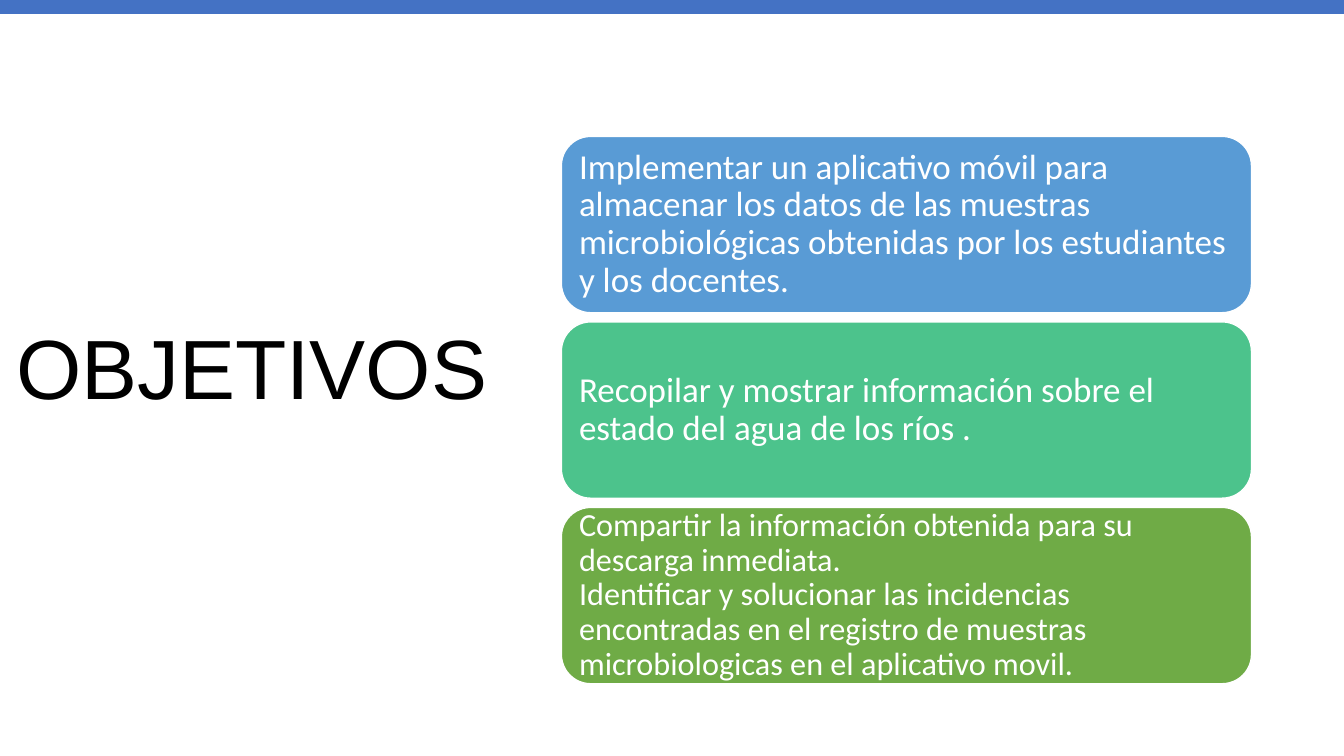
from dataclasses import dataclass

from pptx import Presentation
from pptx.dml.color import RGBColor
from pptx.enum.shapes import MSO_SHAPE
from pptx.enum.text import MSO_ANCHOR, MSO_AUTO_SIZE, PP_ALIGN
from pptx.util import Pt

RECT = MSO_SHAPE.RECTANGLE
ROUND = MSO_SHAPE.ROUNDED_RECTANGLE
MIDDLE = MSO_ANCHOR.MIDDLE
LEFT = PP_ALIGN.LEFT
FIXED = MSO_AUTO_SIZE.NONE


@dataclass(frozen=True)
class Theme:
    """Colours, fonts and type sizes of the slide."""
    bar: str = "4472C4"
    cards: tuple = ("599BD5", "4CC38C", "6FAB46")
    white: str = "FFFFFF"
    black: str = "000000"
    head_font: str = "Arial"
    body_font: str = "Calibri"
    head: int = 60
    body: int = 25
    small: int = 23


THEME = Theme()

GOALS = [
    ("Implementar un aplicativo móvil para almacenar los datos de las muestras "
     "microbiológicas obtenidas por los estudiantes y los docentes.", THEME.body),
    ("Recopilar y mostrar información sobre el estado del agua de los ríos .",
     THEME.body),
    ("Compartir la información obtenida para su descarga inmediata.\n"
     "Identificar y solucionar las incidencias encontradas en el registro de "
     "muestras microbiologicas en el aplicativo movil.", THEME.small),
]


def set_text(frame, text, font, size, color, inset):
    """Fill a text frame with left-aligned, vertically centred text."""
    frame.text = text
    frame.word_wrap = True
    frame.auto_size = FIXED
    frame.vertical_anchor = MIDDLE
    frame.margin_left = frame.margin_right = Pt(inset)
    frame.margin_top = frame.margin_bottom = Pt(3.6)
    for para in frame.paragraphs:
        para.alignment = LEFT
        para.line_spacing = 0.9
        para.space_before = para.space_after = Pt(0)
        for run in para.runs:
            run.font.name = font
            run.font.size = Pt(size)
            run.font.color.rgb = RGBColor.from_string(color)


def add_block(slide, kind, box, color):
    """Add a filled shape without line or shadow."""
    shape = slide.shapes.add_shape(kind, *map(Pt, box))
    shape.shadow.inherit = False
    shape.fill.solid()
    shape.fill.fore_color.rgb = RGBColor.from_string(color)
    shape.line.fill.background()
    return shape


def add_title(slide, text):
    """Place and format the slide title."""
    title = slide.shapes.title
    title.left, title.top, title.width, title.height = map(Pt, (4.3, 49, 380, 433.4))
    set_text(title.text_frame, text, THEME.head_font, THEME.head, THEME.black, 7.2)


def add_card(slide, row, text, size):
    """Add one goal as a rounded card in the given row."""
    box = (401, 97.4 + 132.5 * row, 493, 126)
    card = add_block(slide, ROUND, box, THEME.cards[row])
    card.adjustments[0] = 0.167
    card.line.color.rgb = RGBColor.from_string(THEME.white)
    card.line.width = Pt(1)
    set_text(card.text_frame, text, THEME.body_font, size, THEME.white, 6.5)


def main():
    """Build and save the slide."""
    deck = Presentation()
    deck.slide_width, deck.slide_height = Pt(960), Pt(540)
    slide = deck.slides.add_slide(deck.slide_layouts[5])
    add_title(slide, "OBJETIVOS")
    add_block(slide, RECT, (0, 0, 960, 10), THEME.bar)
    for row, (text, size) in enumerate(GOALS):
        add_card(slide, row, text, size)
    deck.save("out.pptx")


if __name__ == "__main__":
    main()
